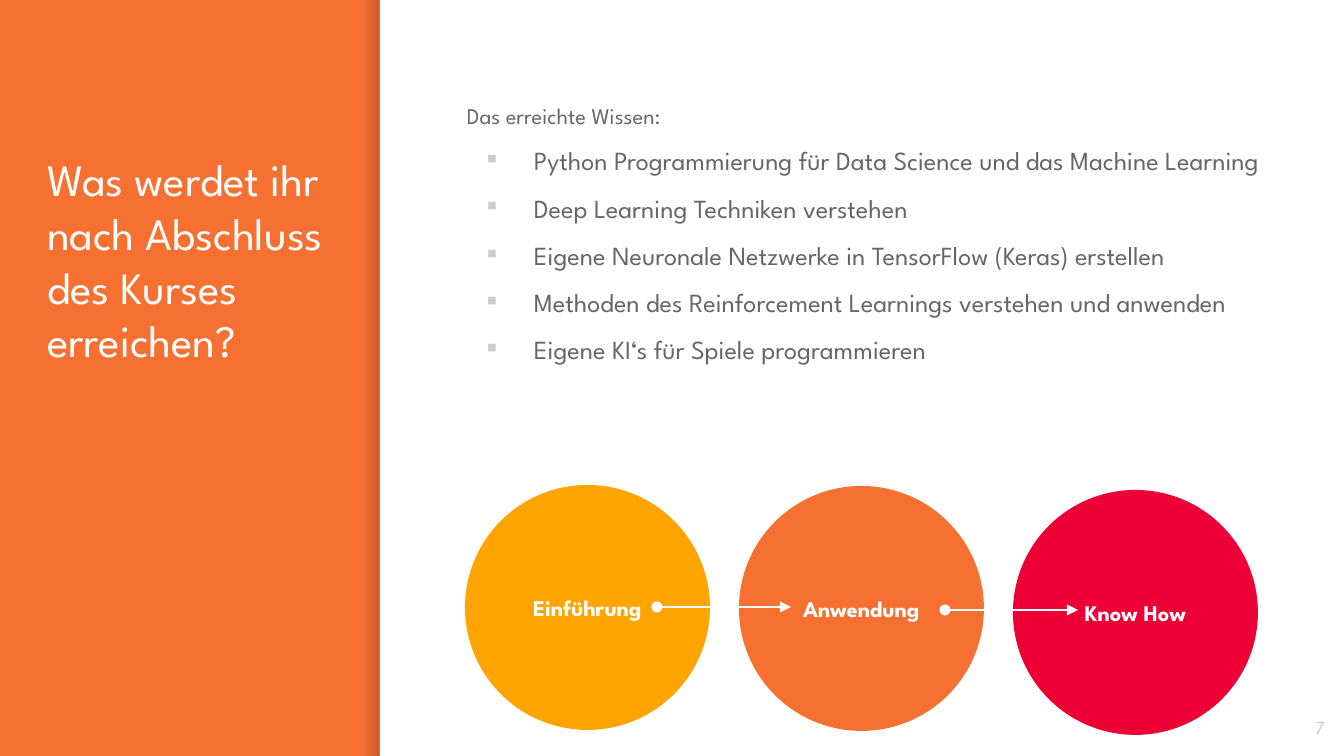
from dataclasses import dataclass

from pptx import Presentation
from pptx.dml.color import RGBColor
from pptx.enum.shapes import MSO_CONNECTOR, MSO_SHAPE
from pptx.enum.text import MSO_ANCHOR, PP_ALIGN
from pptx.oxml.ns import qn
from pptx.util import Pt
from lxml.etree import SubElement


@dataclass(frozen=True)
class Theme:
    """Colours, font and type sizes of the slide."""
    font: str = "League Spartan"
    orange: str = "F67031"
    yellow: str = "FFA400"
    red: str = "ED0036"
    white: str = "FFFFFF"
    text: str = "666666"
    muted: str = "CCCCCC"
    shade: str = "000014"
    title_size: int = 24
    bullet_size: int = 14
    body_size: int = 12
    number_size: int = 10


THEME = Theme()
WIDTH, HEIGHT = 1344, 756
EMU_PER_PX = 9144000 / WIDTH
INSET = 13
TITLE = "Was werdet ihr nach Abschluss des Kurses erreichen?"
INTRO = "Das erreichte Wissen:"
GOALS = [
    "Python Programmierung für Data Science und das Machine Learning",
    "Deep Learning Techniken verstehen",
    "Eigene Neuronale Netzwerke in TensorFlow (Keras) erstellen",
    "Methoden des Reinforcement Learnings verstehen und anwenden",
    "Eigene KI‘s für Spiele programmieren",
]
CIRCLE_LEFT, CIRCLE_STEP, CIRCLE_SIZE = 465, 274, 245
STAGES = [
    ("Einführung", 485, THEME.yellow),
    ("Anwendung", 486, THEME.orange),
    ("Know How", 490, THEME.red),
]
ARROWS = [(657, 791, 607), (945, 1078, 610)]


def px(*lengths):
    """Turn pixel lengths into EMU."""
    return [round(length * EMU_PER_PX) for length in lengths]


def rgb(code):
    """Return the colour for a hex code."""
    return RGBColor.from_string(code)


def style(para, size, color, bold=False, align=PP_ALIGN.LEFT):
    """Align a paragraph and format its runs."""
    para.alignment = align
    for span in para.runs:
        span.font.name = THEME.font
        span.font.size = Pt(size)
        span.font.bold = bold
        span.font.color.rgb = rgb(color)


def set_frame(frame, anchor, top_inset=INSET):
    """Set wrapping, anchor and insets of a text frame."""
    frame.word_wrap = True
    frame.vertical_anchor = anchor
    side, top = px(INSET, top_inset)
    frame.margin_left = frame.margin_right = frame.margin_bottom = side
    frame.margin_top = top


def add_text(page, bounds, text, anchor=MSO_ANCHOR.TOP, top_inset=INSET):
    """Add a text box and return its text frame."""
    frame = page.shapes.add_textbox(*px(*bounds)).text_frame
    set_frame(frame, anchor, top_inset)
    frame.text = text
    return frame


def add_shape(page, kind, bounds):
    """Add a preset shape without outline or shadow."""
    shape = page.shapes.add_shape(kind, *px(*bounds))
    shape.shadow.inherit = False
    shape.line.fill.background()
    return shape


def add_solid(page, kind, bounds, color):
    """Add a preset shape with a plain fill."""
    shape = add_shape(page, kind, bounds)
    shape.fill.solid()
    shape.fill.fore_color.rgb = rgb(color)
    return shape


def add_edge_shade(page, bounds):
    """Add a strip that darkens towards its right edge."""
    strip = add_shape(page, MSO_SHAPE.RECTANGLE, bounds)
    strip.fill.gradient()
    strip.fill.gradient_angle = 0
    for stop, alpha in zip(strip.fill.gradient_stops, (0, 20000)):
        stop.color.rgb = rgb(THEME.shade)
        color = stop._gs.find(qn("a:srgbClr"))
        SubElement(color, qn("a:alpha"), val=str(alpha))


def add_bullet(para):
    """Give a paragraph a hanging square bullet."""
    props = para._p.get_or_add_pPr()
    indent, hang = px(67, -47)
    props.set("marL", str(indent))
    props.set("indent", str(hang))
    color = SubElement(props, qn("a:buClr"))
    SubElement(color, qn("a:srgbClr"), val=THEME.muted)
    SubElement(props, qn("a:buFont"), typeface=THEME.font)
    SubElement(props, qn("a:buChar"), char="▪")


def add_goals(page, bounds):
    """Add the intro line and the bulleted goals."""
    frame = add_text(page, bounds, INTRO)
    intro = frame.paragraphs[0]
    intro.line_spacing = 1.15
    style(intro, THEME.body_size, THEME.text)
    for goal in GOALS:
        para = frame.add_paragraph()
        para.text = goal
        para.line_spacing = 1.15
        para.space_before = Pt(6)
        add_bullet(para)
        style(para, THEME.bullet_size, THEME.text)


def add_circle(page, left, top, label, color):
    """Add a coloured circle with a centred label."""
    circle = add_solid(page, MSO_SHAPE.OVAL, (left, top, CIRCLE_SIZE, CIRCLE_SIZE), color)
    set_frame(circle.text_frame, MSO_ANCHOR.MIDDLE)
    circle.text_frame.text = label
    style(circle.text_frame.paragraphs[0], THEME.body_size, THEME.white, True, PP_ALIGN.CENTER)


def add_arrow(page, start, end, y):
    """Add a level arrow with a round tail."""
    arrow = page.shapes.add_connector(MSO_CONNECTOR.STRAIGHT, *px(start, y, end, y))
    arrow.line.color.rgb = rgb(THEME.white)
    arrow.line.width = Pt(1.5)
    line = arrow.line._get_or_add_ln()
    SubElement(line, qn("a:headEnd"), type="oval")
    SubElement(line, qn("a:tailEnd"), type="triangle")
    SubElement(arrow._element.spPr, qn("a:effectLst"))


def main():
    """Build and save the slide."""
    deck = Presentation()
    deck.slide_width, deck.slide_height = px(WIDTH, HEIGHT)
    page = deck.slides.add_slide(deck.slide_layouts[6])
    page.background.fill.solid()
    page.background.fill.fore_color.rgb = rgb(THEME.orange)

    add_edge_shade(page, (363, 0, 17, HEIGHT))
    add_solid(page, MSO_SHAPE.RECTANGLE, (380, 0, WIDTH - 380, HEIGHT), THEME.white)
    title = add_text(page, (34, 85, 302, 585), TITLE, top_inset=67)
    style(title.paragraphs[0], THEME.title_size, THEME.white)
    add_goals(page, (454, 85, 823, 406))
    number = add_text(page, (1258, 698, 80, 58), "7", MSO_ANCHOR.MIDDLE)
    style(number.paragraphs[0], THEME.number_size, THEME.muted, align=PP_ALIGN.RIGHT)

    for index, (label, top, color) in enumerate(STAGES):
        add_circle(page, CIRCLE_LEFT + index * CIRCLE_STEP, top, label, color)
    for start, end, y in ARROWS:
        add_arrow(page, start, end, y)
    deck.save("out.pptx")


if __name__ == "__main__":
    main()
